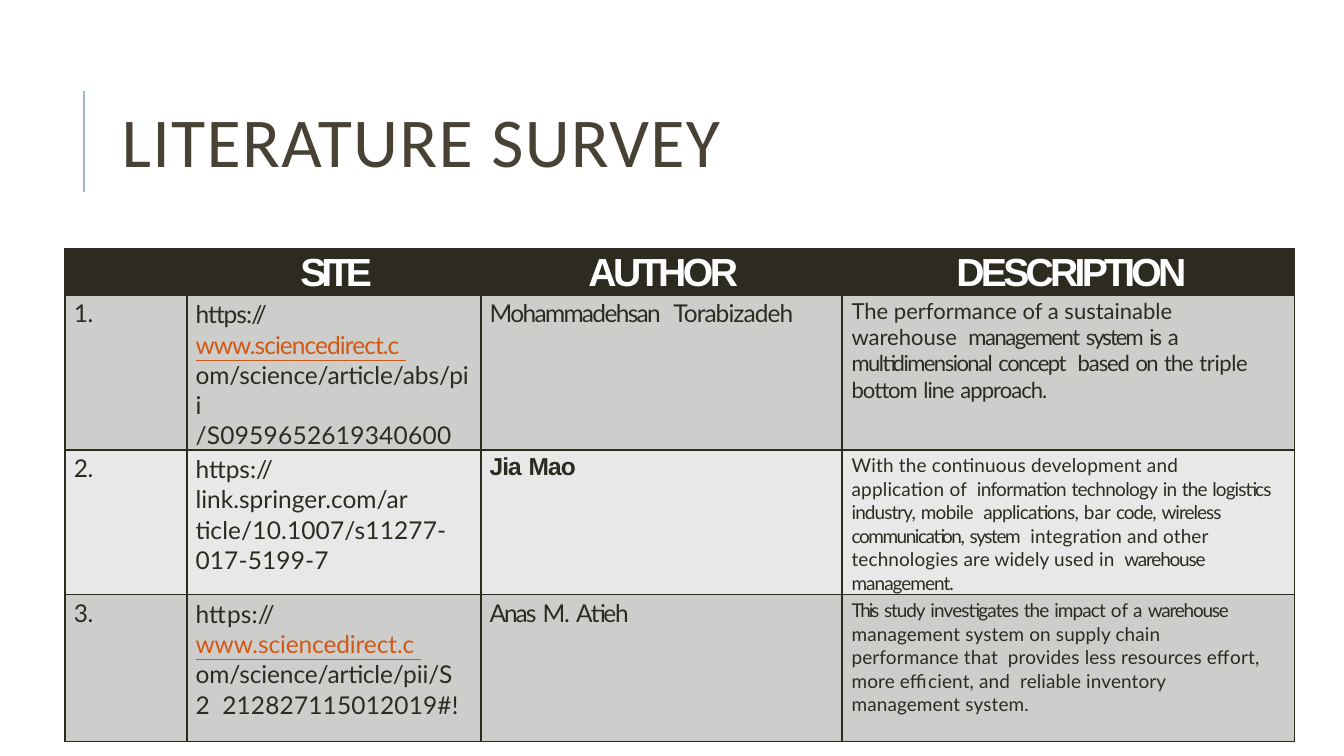
from dataclasses import dataclass
from itertools import groupby

from lxml import etree
from pptx import Presentation
from pptx.dml.color import RGBColor
from pptx.enum.shapes import MSO_CONNECTOR
from pptx.enum.text import MSO_ANCHOR, MSO_AUTO_SIZE, PP_ALIGN
from pptx.oxml.ns import qn
from pptx.util import Inches, Pt

MIDDLE = MSO_ANCHOR.MIDDLE
LEFT, JUSTIFY = PP_ALIGN.LEFT, PP_ALIGN.JUSTIFY
NO_AUTOFIT = MSO_AUTO_SIZE.NONE
STRAIGHT = MSO_CONNECTOR.STRAIGHT
TITLE_ONLY = 5
NBSP = chr(160)


@dataclass(frozen=True)
class Theme:
    title: str = "474233"
    accent: str = "9CBEBD"
    dark: str = "2D2B20"
    white: str = "FFFFFF"
    link: str = "D25814"
    bands: tuple = ("CDCDCC", "E8E8E8")
    title_font: str = "Calibri"
    head_font: str = "Arial"
    body_font: str = "Lato"
    title_size: float = 57.2
    head_size: float = 32
    body_size: float = 20
    large_note: float = 18
    small_note: float = 15.5
    line: float = 1.5


T = Theme()
COLUMNS = (1.38, 3.34, 4.1, 5.14)
ROWS = (0.53, 1.22, 1.25, 1.67)

# Header: column, left margin, runs
HEADER = (
    (0, 2.67, [("SITE", -4.2)]),
    (2, 1.22, [("AUTHOR", -2.9)]),
    (3, 1.3, [("DESCRIPTION", -3.1)]),
)


@dataclass(frozen=True)
class Entry:
    """One survey row; a run is (text, letter spacing, optional link flag)."""
    site: list
    author: list
    note: list
    note_size: float
    site_right: float
    note_right: float
    note_spacing: float = 1.04
    author_bold: bool = False
    site_align: int = LEFT


ENTRIES = (
    Entry(
        site=[[("https://", -0.8), (f"www.sciencedirect.c{NBSP}", -0.8, True), (" ", -5.2),
               ("om/science/article/abs/pii", -0.1)],
              [("/S0959652619340600", 0.2)]],
        author=[("Mohammadehsan  ", -1.4), (f"Torabizadeh{NBSP}", -0.8)],
        note=[("The performance of a sustainable warehouse  ", 0),
              ("management ", -1.2), ("system is ", -1.6), ("a ", -0.1),
              ("multidimensional concept  ", -1.25), ("based ", -0.9), ("on ", -1.6),
              ("the ", -0.9), ("triple ", -0.3), ("bottom line approach.", -0.8)],
        note_size=T.large_note, note_spacing=0.99, site_right=0.1, note_right=0.25),
    Entry(
        site=[[("https://link.springer.com/ar  ", 0),
               ("ticle/10.1007/s11277-  017-5199-7", 0.1)]],
        author=[("Jia Mao", -0.8)],
        note=[("With the continuous development and application of  ", 0.18),
              ("information technology ", -0.55), ("in the logistics industry, ", -0.75),
              ("mobile  applications, ", -0.5), ("bar ", 0.2), ("code, wireless ", -0.8),
              ("communication, system  ", -1.15),
              ("integration and other technologies are widely used in  ", 0.1),
              ("warehouse ", -1), ("management.", -0.8)],
        note_size=T.small_note, author_bold=True, site_right=0.27, note_right=0.24),
    Entry(
        site=[[("https://", 0.1), (f"www.sciencedirect.c{NBSP}", -0.1, True),
               (" om/science/article/pii/S2  ", -0.1), ("212827115012019#!", 0.1)]],
        author=[("Anas ", -1.7), ("M. ", -1.1), ("Atieh", -0.9)],
        note=[("This ", -1.8), ("study ", -0.9), ("investigates the impact ", -0.7),
              ("of a ", 0.2), ("warehouse  ", -1),
              ("management system on supply chain performance that  provides less "
               "resources effort, more efficient, and  reliable inventory "
               "management system.", 0.1)],
        note_size=T.small_note, site_align=JUSTIFY, site_right=0.22, note_right=0.33),
)


def rgb(value):
    return RGBColor.from_string(value)


def set_font(font, name, size, color, bold=False):
    font.name, font.size, font.bold = name, Pt(size), bold
    font.color.rgb = rgb(color)


def add_run(p, text, spacing, link=False):
    r = p.add_run()
    r.text = text
    r._r.get_or_add_rPr().set("spc", str(round(spacing * 100)))
    if link:
        r.font.underline = True
        r.font.color.rgb = rgb(T.link)


def add_spaced_text(p, text, spacing, link=False):
    """Condense only the words, so that the gaps between them keep full width."""
    text = text.replace("  ", f"{NBSP} ")
    if spacing >= 0:
        add_run(p, text, spacing, link)
        return
    for is_gap, letters in groupby(text, str.isspace):
        add_run(p, "".join(letters), 0 if is_gap else spacing, link)


def fill_cell(cell, paragraphs, fill, color=T.dark, font=T.body_font, size=T.body_size,
              bold=False, left=0.1, right=0, top=0.04, line_spacing=1.0, align=LEFT):
    cell.margin_left, cell.margin_right = Inches(left), Inches(right)
    cell.margin_top, cell.margin_bottom = Inches(top), 0
    cell.fill.solid()
    cell.fill.fore_color.rgb = rgb(fill)
    tf = cell.text_frame
    for i, runs in enumerate(paragraphs):
        p = tf.add_paragraph() if i else tf.paragraphs[0]
        p.alignment = align
        p.line_spacing = 1.0 if i else line_spacing
        set_font(p.font, font, size, color, bold)
        for run in runs:
            add_spaced_text(p, *run)


def add_borders(cell):
    tc_pr = cell._tc.get_or_add_tcPr()
    for i, side in enumerate(("a:lnL", "a:lnR", "a:lnT", "a:lnB")):
        ln = etree.Element(qn(side), w=str(Pt(T.line)))
        solid = etree.SubElement(ln, qn("a:solidFill"))
        etree.SubElement(solid, qn("a:srgbClr"), val=T.dark)
        tc_pr.insert(i, ln)


def add_title(s, text):
    title = s.shapes.title
    title.left, title.top = Inches(1.28), Inches(0.73)
    title.width, title.height = Inches(12.16), Inches(1.88)
    tf = title.text_frame
    tf.vertical_anchor, tf.auto_size = MIDDLE, NO_AUTOFIT
    p = tf.paragraphs[0]
    p.alignment, p.line_spacing = LEFT, 0.8
    set_font(p.font, T.title_font, T.title_size, T.title)
    add_run(p, text, 1.1)


def add_accent_line(s):
    line = s.shapes.add_connector(STRAIGHT, Inches(0.95), Inches(2.18),
                                  Inches(0.95), Inches(1.03))
    line.line.color.rgb = rgb(T.accent)
    line.line.width = Pt(T.line)
    etree.SubElement(line._element.spPr, qn("a:effectLst"))


def add_survey_table(s):
    table = s.shapes.add_table(len(ROWS), len(COLUMNS), Inches(0.74), Inches(2.82),
                               Inches(sum(COLUMNS)), Inches(sum(ROWS))).table
    table.first_row = table.horz_banding = False
    for column, width in zip(table.columns, COLUMNS):
        column.width = Inches(width)
    for row, height in zip(table.rows, ROWS):
        row.height = Inches(height)

    table.cell(0, 0).merge(table.cell(0, 1))
    for column, left, runs in HEADER:
        fill_cell(table.cell(0, column), [runs], T.dark, T.white, T.head_font,
                  T.head_size, bold=True, left=left, top=0.03)

    for n, entry in enumerate(ENTRIES, 1):
        fill = T.bands[(n - 1) % 2]
        number, site, author, note = table.rows[n].cells
        fill_cell(number, [[(f"{n}.", -0.5)]], fill)
        fill_cell(site, entry.site, fill, right=entry.site_right, line_spacing=1.03,
                  align=entry.site_align)
        fill_cell(author, [entry.author], fill, bold=entry.author_bold,
                  font=T.head_font if entry.author_bold else T.body_font)
        fill_cell(note, [entry.note], fill, size=entry.note_size, left=0.11,
                  right=entry.note_right, line_spacing=entry.note_spacing)
    for cell in table.iter_cells():
        add_borders(cell)


def main():
    prs = Presentation()
    prs.slide_width, prs.slide_height = Inches(15.26), Inches(8.58)
    s = prs.slides.add_slide(prs.slide_layouts[TITLE_ONLY])
    add_accent_line(s)
    add_title(s, "LITERATURE SURVEY")
    add_survey_table(s)
    prs.save("out.pptx")


if __name__ == "__main__":
    main()
